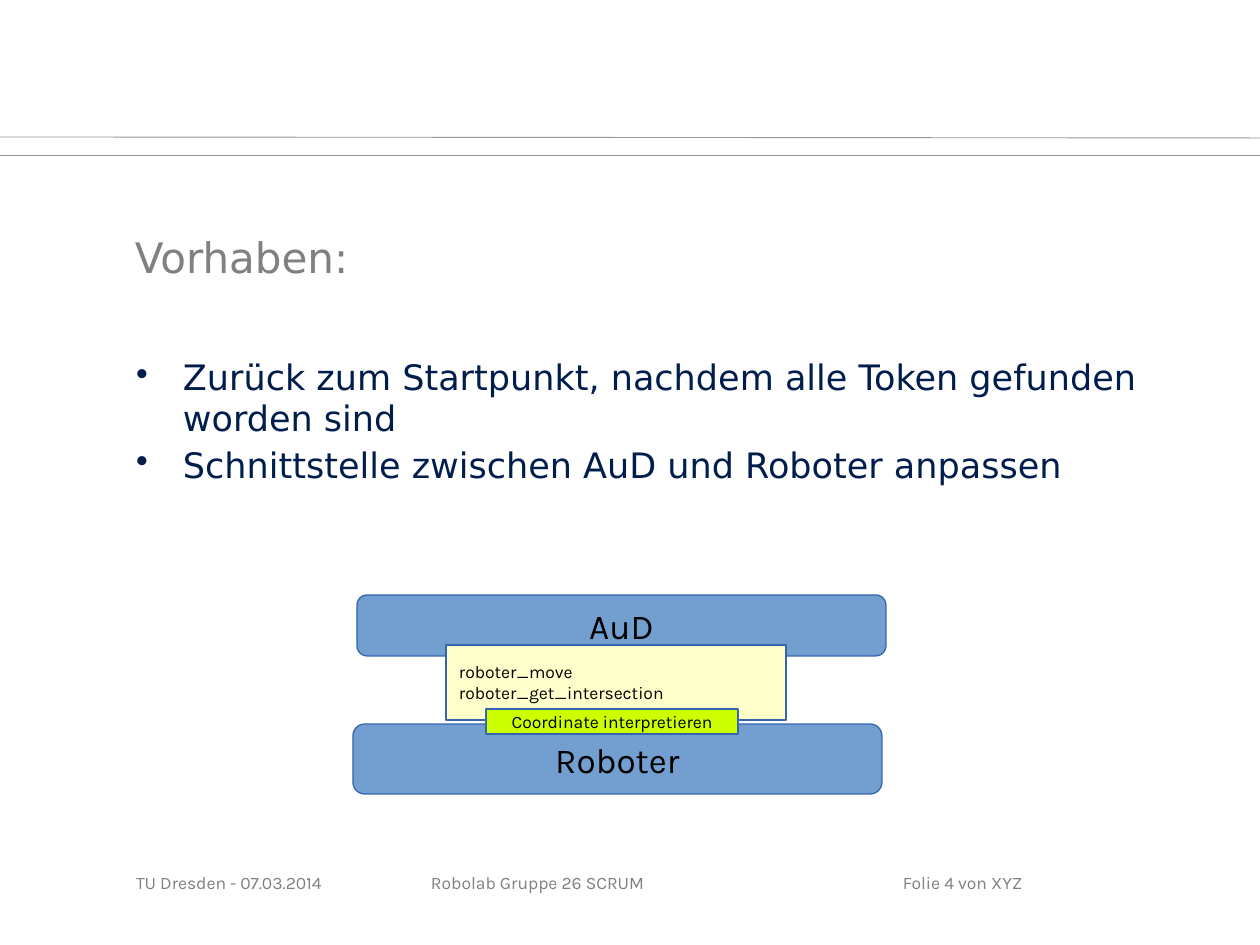
from dataclasses import dataclass

import pptx
import pptx.dml.color
import pptx.enum.shapes
import pptx.enum.text
import pptx.oxml
import pptx.oxml.ns
import pptx.util
from lxml import etree

EMU_PER_PIXEL = 914400 / 126
COLORS = {
    "rule": "969696", "muted": "808080", "navy": "001D4B", "black": "000000",
    "blue": "729FCF", "outline": "3465AF", "cream": "FFFFCC", "lime": "CCFF00",
}
ALIGN = pptx.enum.text.PP_ALIGN
ANCHOR = pptx.enum.text.MSO_ANCHOR
SHAPE = pptx.enum.shapes.MSO_SHAPE


@dataclass
class Box:
    left: int
    top: int
    width: int
    height: int


@dataclass
class Block:
    box: Box
    lines: list[str]
    fill: str
    kind: int = SHAPE.RECTANGLE
    size: int = 10
    align: int = ALIGN.CENTER


@dataclass
class Label:
    box: Box
    text: str


def px(value: float) -> int:
    return round(value * EMU_PER_PIXEL)


def rgb(name: str) -> pptx.dml.color.RGBColor:
    return pptx.dml.color.RGBColor.from_string(COLORS[name])


def bounds(box: Box) -> tuple[int, ...]:
    return tuple(px(value) for value in (box.left, box.top, box.width, box.height))


def add_bullet(paragraph, color: str, indent: int) -> None:
    properties = paragraph._p.get_or_add_pPr()
    properties.set("marL", str(px(indent)))
    properties.set("indent", str(-px(indent)))
    bullet_color = etree.SubElement(properties, pptx.oxml.ns.qn("a:buClr"))
    etree.SubElement(bullet_color, pptx.oxml.ns.qn("a:srgbClr"), val=COLORS[color])
    etree.SubElement(properties, pptx.oxml.ns.qn("a:buChar"), char="•")


def write_text(shape, lines: list[str], *, size: int = 10, color: str = "muted",
               font: str = "Karla", align: int = ALIGN.LEFT, anchor: int = ANCHOR.TOP,
               insets: tuple[int, ...] = (0, 0, 0, 0), bullet_indent: int = 0,
               line_spacing: float = 1.0, space_before: float = 0) -> None:
    frame = shape.text_frame
    frame.word_wrap = True
    frame.auto_size = pptx.enum.text.MSO_AUTO_SIZE.NONE
    frame.vertical_anchor = anchor
    (frame.margin_left, frame.margin_top,
     frame.margin_right, frame.margin_bottom) = map(px, insets)
    for index, line in enumerate(lines):
        paragraph = frame.add_paragraph() if index else frame.paragraphs[0]
        paragraph.alignment = align
        paragraph.line_spacing = line_spacing
        paragraph.space_before = pptx.util.Pt(space_before)
        if bullet_indent:
            add_bullet(paragraph, color, bullet_indent)
        run = paragraph.add_run()
        run.text = line
        run.font.name = font
        run.font.size = pptx.util.Pt(size)
        run.font.color.rgb = rgb(color)


def add_rule(slide, start_y: int, end_y: int) -> None:
    rule = slide.shapes.add_connector(
        pptx.enum.shapes.MSO_CONNECTOR.STRAIGHT, 0, px(start_y), px(1260), px(end_y))
    rule.line.color.rgb = rgb("rule")
    rule.line.width = pptx.util.Pt(0.51)
    etree.SubElement(rule._element.spPr, pptx.oxml.ns.qn("a:effectLst"))


def add_block(slide, block: Block) -> None:
    shape = slide.shapes.add_shape(block.kind, *bounds(block.box))
    shape.shadow.inherit = False
    shape.fill.solid()
    shape.fill.fore_color.rgb = rgb(block.fill)
    shape.line.color.rgb = rgb("outline")
    shape.line.width = pptx.util.Pt(0.74)
    write_text(shape, block.lines, size=block.size, color="black", align=block.align,
               anchor=ANCHOR.MIDDLE, insets=(13, 6, 13, 6))


presentation = pptx.Presentation()
presentation.slide_width = px(1260)
presentation.slide_height = px(945)
slide = presentation.slides.add_slide(presentation.slide_layouts[5])

# Header rules
add_rule(slide, 155, 155)
add_rule(slide, 137, 138)

# Title
title = slide.shapes.title
title.left, title.top, title.width, title.height = bounds(Box(135, 200, 1033, 113))
write_text(title, ["Vorhaben:"], size=24, font="DejaVu Sans",
           anchor=ANCHOR.MIDDLE, insets=(0, 6, 13, 6))

# Bullet list
goals = slide.shapes.add_textbox(*bounds(Box(136, 357, 1028, 483)))
write_text(goals, [
    "Zurück zum Startpunkt, nachdem alle Token gefunden worden sind",
    "Schnittstelle zwischen AuD und Roboter anpassen",
], size=20, color="navy", font="DejaVu Sans", insets=(0, 1, 0, 0),
    bullet_indent=47, line_spacing=0.97, space_before=3.5)

# Interface diagram, from back to front
for block in (
    Block(Box(353, 724, 529, 70), ["Roboter"], "blue", SHAPE.ROUNDED_RECTANGLE, 20),
    Block(Box(357, 595, 529, 61), ["AuD"], "blue", SHAPE.ROUNDED_RECTANGLE, 20),
    Block(Box(446, 645, 340, 75), ["roboter_move", "roboter_get_intersection"],
          "cream", align=ALIGN.LEFT),
    Block(Box(486, 709, 252, 25), ["Coordinate interpretieren"], "lime"),
):
    add_block(slide, block)

# Footer
for label in (
    Label(Box(136, 872, 282, 37), "TU Dresden - 07.03.2014"),
    Label(Box(431, 872, 398, 42), "Robolab Gruppe 26 SCRUM"),
    Label(Box(903, 872, 262, 30), "Folie 4 von XYZ"),
):
    write_text(slide.shapes.add_textbox(*bounds(label.box)), [label.text])

presentation.save("out.pptx")
